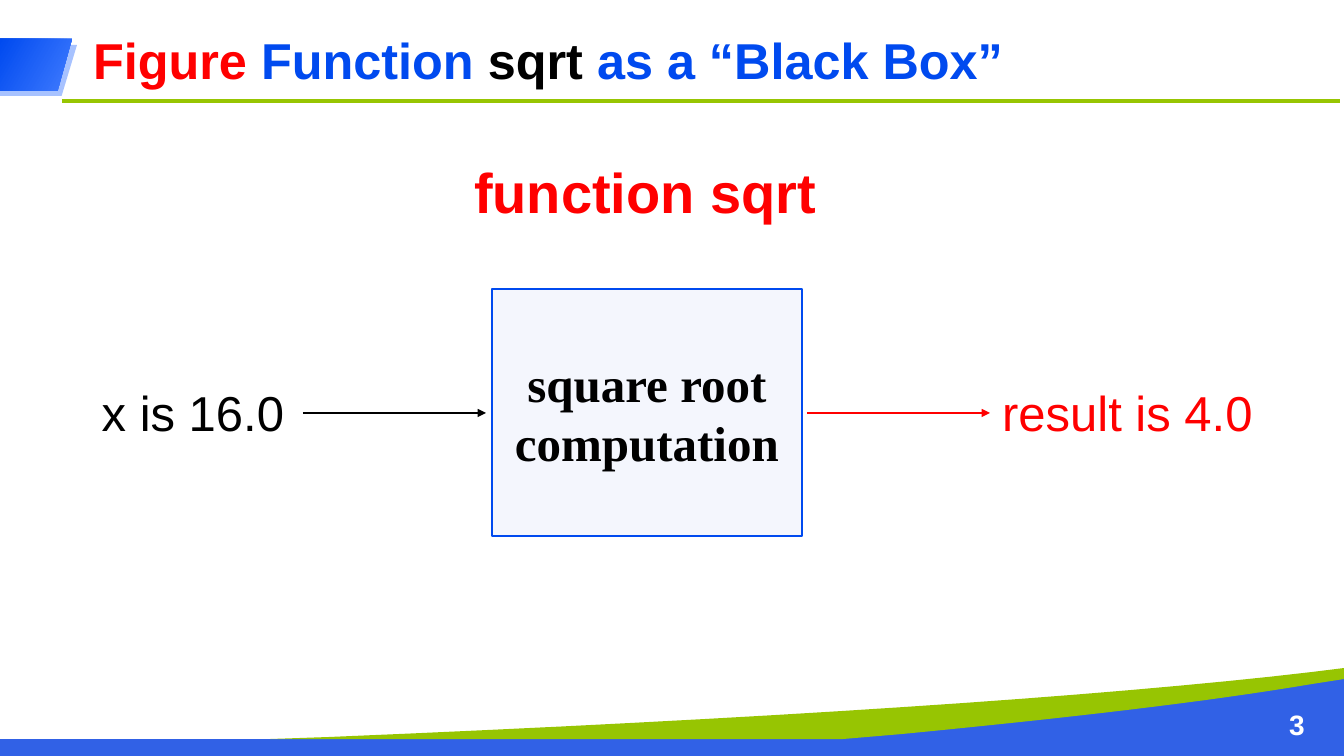
from lxml.etree import SubElement
from pptx import Presentation
from pptx.dml.color import RGBColor
from pptx.enum.shapes import MSO_CONNECTOR, MSO_SHAPE
from pptx.enum.text import MSO_ANCHOR, PP_ALIGN
from pptx.oxml.ns import qn
from pptx.util import Pt

PX = 914400 / 100.8
WIDTH, HEIGHT = 1344, 756
BLUE, BRIGHT, PALE, GREEN = "3161E6", "004AEF", "407BFF", "97C502"
RED, BLACK, WHITE = "FF0000", "000000", "FFFFFF"

TITLE = [("Figure", RED), (" Function ", BRIGHT), ("sqrt", BLACK),
         (" as a “Black Box”", BRIGHT)]
LABELS = [
    ("3", (1251, 705, 92, 39), 20, WHITE, True, MSO_ANCHOR.MIDDLE),
    ("x is 16.0", (70, 378, 246, 70), 35, BLACK, False, MSO_ANCHOR.TOP),
    ("result is 4.0", (981, 378, 293, 70), 35, RED, False, MSO_ANCHOR.TOP),
    ("function sqrt", (416, 153, 458, 78), 40, RED, True, MSO_ANCHOR.TOP),
]
BOX_TEXT, BOX = "square root computation", (492, 289, 310, 247)
ARROWS = [(303, 486, BLACK), (807, 990, RED)]
PAGE = (0, 0, WIDTH, 739)
BLUE_WAVE = [(1344, 739), (779, 739),
             [(780, 738), (784, 736), (788, 734), (794, 732)],
             [(794, 732), (839, 719), (985, 716), (1052, 710)],
             [(1052, 710), (1052, 710), (1156, 700), (1204, 695)],
             [(1204, 695), (1252, 688), (1309, 680), (1342, 676)],
             (1344, 675)]
GREEN_WAVE = [(843, 739), (270, 739), (329, 737),
              [(329, 737), (761, 719), (1099, 697), (1312, 672)],
              (1344, 668), (1344, 679),
              [(1312, 684), (1206, 702), (1067, 718), (902, 734)]]


def color(code):
    return RGBColor.from_string(code)


def emu(*lengths):
    return [round(length * PX) for length in lengths]


def set_alpha(shape, percent):
    tint = shape._element.spPr.find(qn("a:solidFill"))[0]
    SubElement(tint, qn("a:alpha")).set("val", str(percent * 1000))


def fill_plain(shape, code):
    shape.shadow.inherit = False
    shape.line.fill.background()
    shape.fill.solid()
    shape.fill.fore_color.rgb = color(code)
    return shape


def style(paragraph, size, code, bold, face="Arial"):
    paragraph.alignment = PP_ALIGN.CENTER
    font = paragraph.runs[0].font
    font.name, font.size, font.bold = face, Pt(size), bold
    font.color.rgb = color(code)


def bezier(points, steps=16):
    for step in range(steps + 1):
        t = step / steps
        weights = ((1 - t) ** 3, 3 * t * (1 - t) ** 2, 3 * t * t * (1 - t), t ** 3)
        yield tuple(sum(w * p[axis] for w, p in zip(weights, points))
                    for axis in (0, 1))


def draw_wave(shapes, outline, code):
    points = []
    for part in outline:
        points.extend(bezier(part) if isinstance(part, list) else [part])
    builder = shapes.build_freeform(*emu(*points[0]), scale=1.0)
    builder.add_line_segments([emu(*point) for point in points[1:]], close=True)
    fill_plain(builder.convert_to_shape(), code)


def draw_tab(shapes, frame):
    tab = shapes.add_shape(MSO_SHAPE.FLOWCHART_MANUAL_INPUT, *emu(*frame))
    tab.rotation = 270
    tab._element.spPr.xfrm.set("flipV", "1")
    return fill_plain(tab, PALE)


def draw_line(shapes, left, right, y, code, weight):
    line = shapes.add_connector(MSO_CONNECTOR.STRAIGHT, *emu(left, y, right, y))
    line.line.color.rgb = color(code)
    line.line.width = Pt(weight)
    SubElement(line._element.spPr, qn("a:effectLst"))
    return line


def main():
    deck = Presentation()
    deck.slide_width, deck.slide_height = emu(WIDTH, HEIGHT)
    slide = deck.slides.add_slide(deck.slide_layouts[5])
    shapes = slide.shapes
    slide.background.fill.solid()
    slide.background.fill.fore_color.rgb = color(BLUE)

    fill_plain(shapes.add_shape(MSO_SHAPE.RECTANGLE, *emu(*PAGE)), WHITE)
    draw_wave(shapes, BLUE_WAVE, BLUE)
    draw_wave(shapes, GREEN_WAVE, GREEN)
    set_alpha(draw_tab(shapes, (13, 32, 51, 77)), 46)
    front_tab = draw_tab(shapes, (10, 29, 52, 72))
    front_tab.fill.gradient()
    front_tab.fill.gradient_angle = 300
    for stop, code, position in zip(front_tab.fill.gradient_stops, (PALE, BRIGHT), (0, 1)):
        stop.color.rgb = color(code)
        stop.position = position
    draw_line(shapes, 62, 1340, 101, GREEN, 2.25)

    title = shapes.title
    shapes._spTree.append(title._element)
    title.left, title.top, title.width, title.height = emu(83, 31, 1261, 66)
    title.text_frame.vertical_anchor = MSO_ANCHOR.TOP
    heading = title.text_frame.paragraphs[0]
    for words, code in TITLE:
        run = heading.add_run()
        run.text = words
        style_font = run.font
        style_font.name, style_font.size, style_font.bold = "Arial", Pt(36), True
        style_font.color.rgb = color(code)
    heading.alignment = PP_ALIGN.LEFT
    heading.line_spacing = 0.9
    heading.space_before = Pt(0)

    for words, frame, size, code, bold, anchor in LABELS:
        label = shapes.add_textbox(*emu(*frame)).text_frame
        label.word_wrap = True
        label.vertical_anchor = anchor
        label.text = words
        style(label.paragraphs[0], size, code, bold)

    black_box = fill_plain(shapes.add_shape(MSO_SHAPE.RECTANGLE, *emu(*BOX)), BLUE)
    set_alpha(black_box, 5)
    black_box.line.color.rgb = color(BRIGHT)
    black_box.line.width = Pt(1)
    black_box.text_frame.word_wrap = True
    black_box.text_frame.vertical_anchor = MSO_ANCHOR.MIDDLE
    black_box.text_frame.text = BOX_TEXT
    style(black_box.text_frame.paragraphs[0], 35, BLACK, True, "Times New Roman")

    for left, right, code in ARROWS:
        arrow = draw_line(shapes, left, right, 413, code, 2)
        SubElement(arrow.line._get_or_add_ln(), qn("a:tailEnd")).set("type", "triangle")

    deck.save("out.pptx")


if __name__ == "__main__":
    main()
